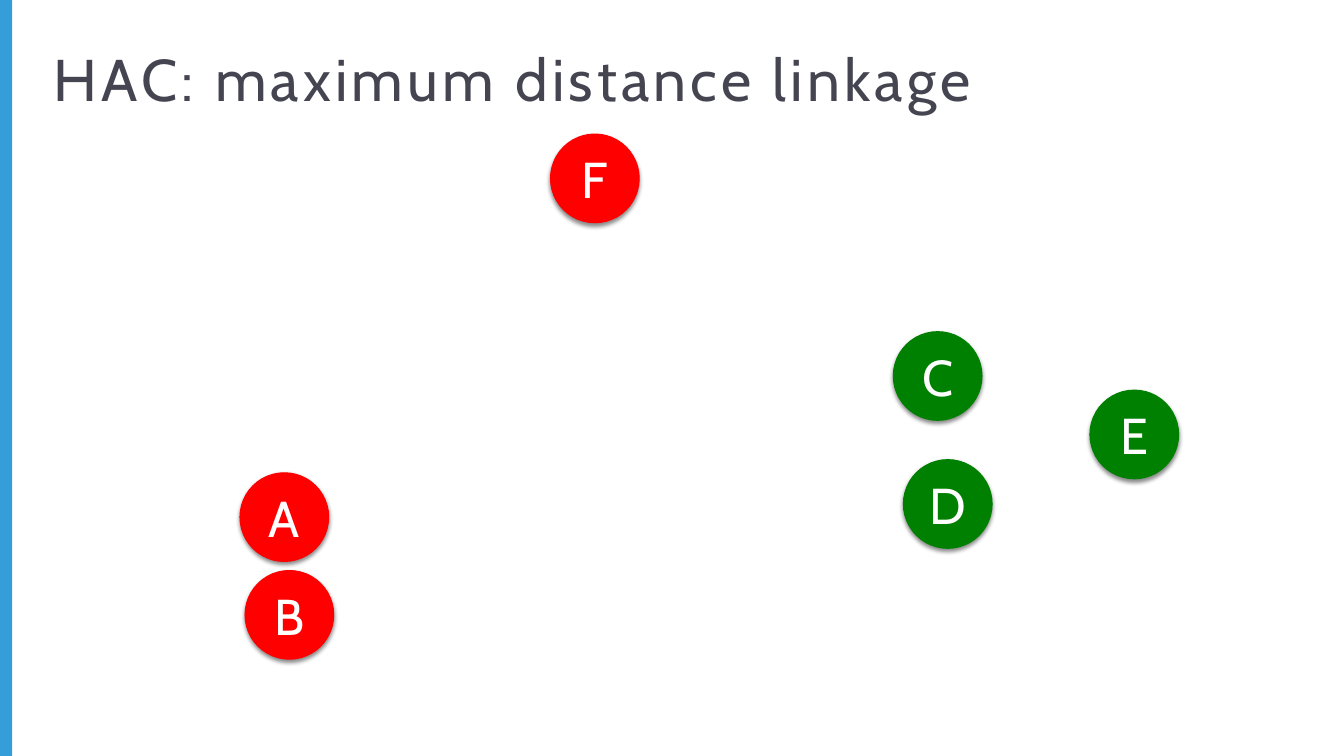
from dataclasses import dataclass

from lxml import etree
from pptx import Presentation, util as u
from pptx.dml.color import RGBColor
from pptx.enum import shapes, text
from pptx.oxml import parse_xml
from pptx.oxml.ns import nsdecls


@dataclass(frozen=True)
class Theme:
    font: str = "Cabin"
    title_size: float = 42
    title_spacing: float = 3
    label_size: float = 36
    outline: float = 0.75
    title: str = "454551"
    accent: str = "359ED8"
    label: str = "FFFFFF"
    red: str = "FF0000"
    green: str = "008000"


THEME = Theme()
WIDTH, HEIGHT = 13.33, 7.5
DIAMETER = 0.88

# Clusters: colour, then each point's left and top in inches
CLUSTERS = [
    (THEME.red, {"A": (2.38, 4.69), "B": (2.43, 5.66), "F": (5.46, 1.33)}),
    (THEME.green, {"C": (8.86, 3.29), "D": (8.96, 4.56), "E": (10.81, 3.87)}),
]


def set_all(target, formats):
    for name, value in formats.items():
        setattr(target, name, value)


def style_font(font, size, colour):
    set_all(font, {"name": THEME.font, "size": u.Pt(size), "bold": False})
    font.color.rgb = RGBColor.from_string(colour)


def inches(*lengths):
    return [u.Inches(length) for length in lengths]


def add_soft_shadow(shape):
    shape.shadow.inherit = False
    effects = shape._element.spPr.find("{*}effectLst")
    effects.append(parse_xml(
        f'<a:outerShdw {nsdecls("a")} blurRad="{u.Pt(3)}" dist="{u.Pt(2)}" '
        'dir="5400000" rotWithShape="0"><a:srgbClr val="000000">'
        '<a:alpha val="45000"/></a:srgbClr></a:outerShdw>'))


def add_accent_bar(slide, box):
    bar = slide.shapes.add_shape(shapes.MSO_SHAPE.RECTANGLE, *inches(*box))
    bar.shadow.inherit = False
    bar.fill.solid()
    bar.fill.fore_color.rgb = RGBColor.from_string(THEME.accent)
    bar.line.fill.background()


def add_heading(slide, box, words):
    heading = slide.shapes.title
    set_all(heading, dict(zip(("left", "top", "width", "height"), inches(*box))))
    frame = heading.text_frame
    set_all(frame, {"word_wrap": True, "auto_size": text.MSO_AUTO_SIZE.NONE,
                    "vertical_anchor": text.MSO_ANCHOR.TOP})
    paragraph = frame.paragraphs[0]
    paragraph.alignment = text.PP_ALIGN.LEFT
    run = paragraph.add_run()
    run.text = words
    style_font(run.font, THEME.title_size, THEME.title)
    run._r.get_or_add_rPr().set("spc", str(THEME.title_spacing * 100))


def add_point(slide, box, letter, colour):
    point = slide.shapes.add_shape(shapes.MSO_SHAPE.OVAL, *inches(*box))
    add_soft_shadow(point)
    point.fill.solid()
    for paint in (point.fill.fore_color, point.line.color):
        paint.rgb = RGBColor.from_string(colour)
    point.line.width = u.Pt(THEME.outline)
    frame = point.text_frame
    set_all(frame, {"vertical_anchor": text.MSO_ANCHOR.MIDDLE, "margin_left": 0,
                    "margin_right": 0, "margin_top": 0, "margin_bottom": 0})
    paragraph = frame.paragraphs[0]
    paragraph.alignment = text.PP_ALIGN.CENTER
    run = paragraph.add_run()
    run.text = letter
    style_font(run.font, THEME.label_size, THEME.label)


def add_scatter(slide, box, clusters):
    left, top = box[:2]
    for colour, points in clusters:
        for letter, (x, y) in points.items():
            add_point(slide, (left + x, top + y, DIAMETER, DIAMETER), letter, colour)


def main():
    deck = Presentation()
    deck.slide_width, deck.slide_height = inches(WIDTH, HEIGHT)
    slide = deck.slides.add_slide(deck.slide_layouts.get_by_name("Title Only"))
    add_accent_bar(slide, (0, 0, 0.12, HEIGHT))
    add_heading(slide, (0.43, 0.37, 11.74, 1.08), "HAC: maximum distance linkage")
    add_scatter(slide, (0, 0, WIDTH, HEIGHT), CLUSTERS)
    deck.save("out.pptx")


if __name__ == "__main__":
    main()
